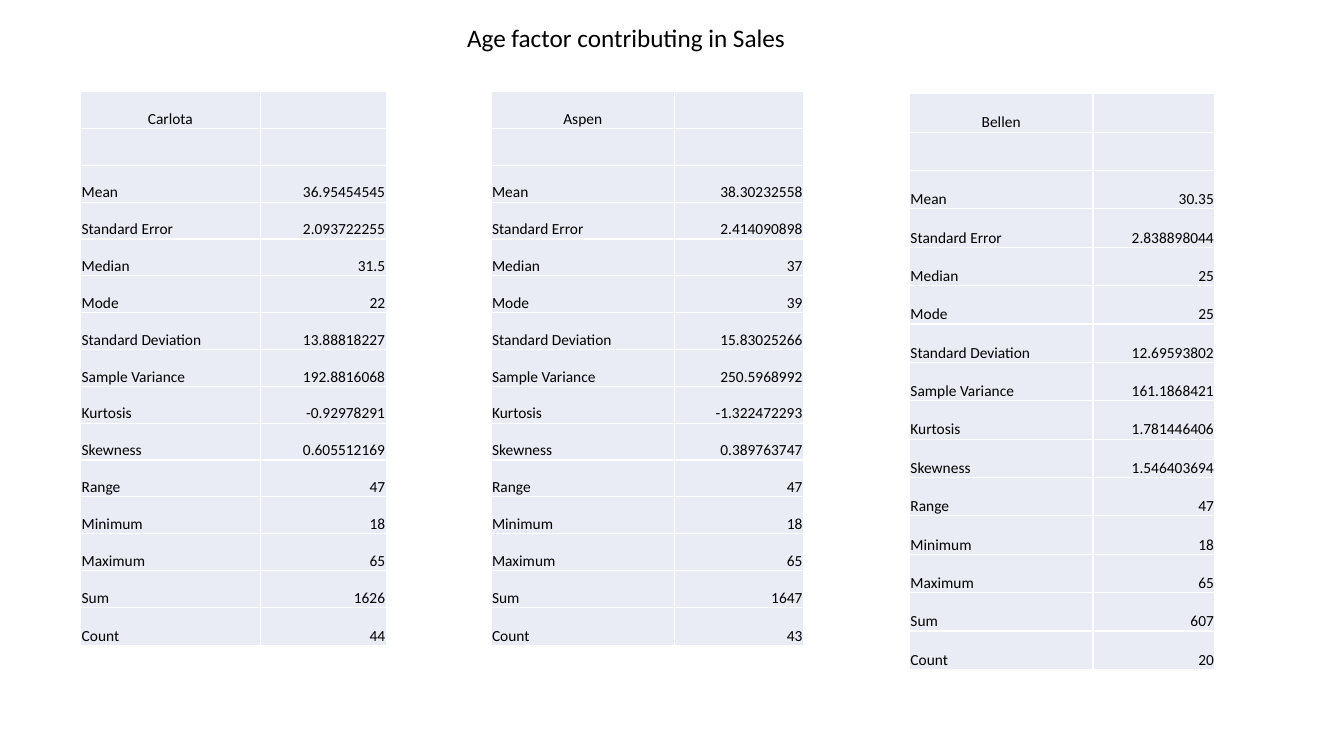
from lxml.etree import SubElement
from pptx import Presentation
from pptx.dml.color import RGBColor
from pptx.enum.text import MSO_ANCHOR as ANCHOR, MSO_AUTO_SIZE as AUTO, PP_ALIGN as ALIGN
from pptx.oxml.ns import qn
from pptx.util import Inches, Pt

TITLE = "Age factor contributing in Sales"
STATS = ["Mean", "Standard Error", "Median", "Mode", "Standard Deviation",
         "Sample Variance", "Kurtosis", "Skewness", "Range", "Minimum",
         "Maximum", "Sum", "Count"]
# Values follow the order of STATS; lengths are in inches.
TABLES = [
    dict(name="Carlota", left=0.8, top=0.91, cols=(1.78, 1.25), height=5.5, last=0.38,
         values=["36.95454545", "2.093722255", "31.5", "22", "13.88818227",
                 "192.8816068", "-0.92978291", "0.605512169", "47", "18",
                 "65", "1626", "44"]),
    dict(name="Aspen", left=4.87, top=0.91, cols=(1.82, 1.28), height=5.5, last=0.38,
         values=["38.30232558", "2.414090898", "37", "39", "15.83025266",
                 "250.5968992", "-1.322472293", "0.389763747", "47", "18",
                 "65", "1647", "43"]),
    dict(name="Bellen", left=9.02, top=0.93, cols=(1.82, 1.21), height=5.71, last=0.38,
         values=["30.35", "2.838898044", "25", "25", "12.69593802",
                 "161.1868421", "1.781446406", "1.546403694", "47", "18",
                 "65", "607", "20"]),
]
COLORS = {"text": "000000", "cell": "E9EBF5", "border": "FFFFFF"}
FONT = "Calibri"


def write(tf, text, size=11, align=ALIGN.LEFT):
    """Put one formatted paragraph into a text frame."""
    p = tf.paragraphs[0]
    p.alignment = align
    if text:
        r = p.add_run()
        r.text = text
        r.font.name, r.font.size = FONT, Pt(size)
        r.font.color.rgb = RGBColor.from_string(COLORS["text"])


def style_cell(cell):
    """Give a cell its margins, white borders and fill."""
    cell.vertical_anchor = ANCHOR.BOTTOM
    cell.margin_left = cell.margin_right = cell.margin_top = Inches(0.01)
    cell.margin_bottom = 0
    tc_pr = cell._tc.get_or_add_tcPr()
    for side in ("lnL", "lnR", "lnT", "lnB"):
        ln = SubElement(tc_pr, qn(f"a:{side}"), w=str(Pt(1)))
        fill = SubElement(ln, qn("a:solidFill"))
        SubElement(fill, qn("a:srgbClr"), val=COLORS["border"])
    cell.fill.solid()
    cell.fill.fore_color.rgb = RGBColor.from_string(COLORS["cell"])


def add_stats(slide, name, left, top, cols, height, last, values):
    """Add one store's table: name, an empty row, then the statistics."""
    rows = [(name, ""), ("", ""), *zip(STATS, values)]
    table = slide.shapes.add_table(len(rows), len(cols), Inches(left), Inches(top),
                                   Inches(sum(cols)), Inches(height)).table
    table.first_row = table.horz_banding = False
    for column, width in zip(table.columns, cols):
        column.width = Inches(width)
    for row in table.rows:
        row.height = Inches((height - last) / (len(rows) - 1))
    table.rows[len(rows) - 1].height = Inches(last)
    for i, texts in enumerate(rows):
        aligns = (ALIGN.LEFT if i else ALIGN.CENTER, ALIGN.RIGHT)
        for j, (text, align) in enumerate(zip(texts, aligns)):
            cell = table.cell(i, j)
            style_cell(cell)
            write(cell.text_frame, text, align=align)


prs = Presentation()
prs.slide_width, prs.slide_height = Inches(13.33), Inches(7.5)
slide = prs.slides.add_slide(prs.slide_layouts[6])
for stats in TABLES:
    add_stats(slide, **stats)

tf = slide.shapes.add_textbox(Inches(2.31), Inches(0.17), Inches(7.8), Inches(0.4)).text_frame
tf.word_wrap = True
tf.auto_size = AUTO.SHAPE_TO_FIT_TEXT
write(tf, TITLE, size=18, align=ALIGN.CENTER)

prs.save("out.pptx")
